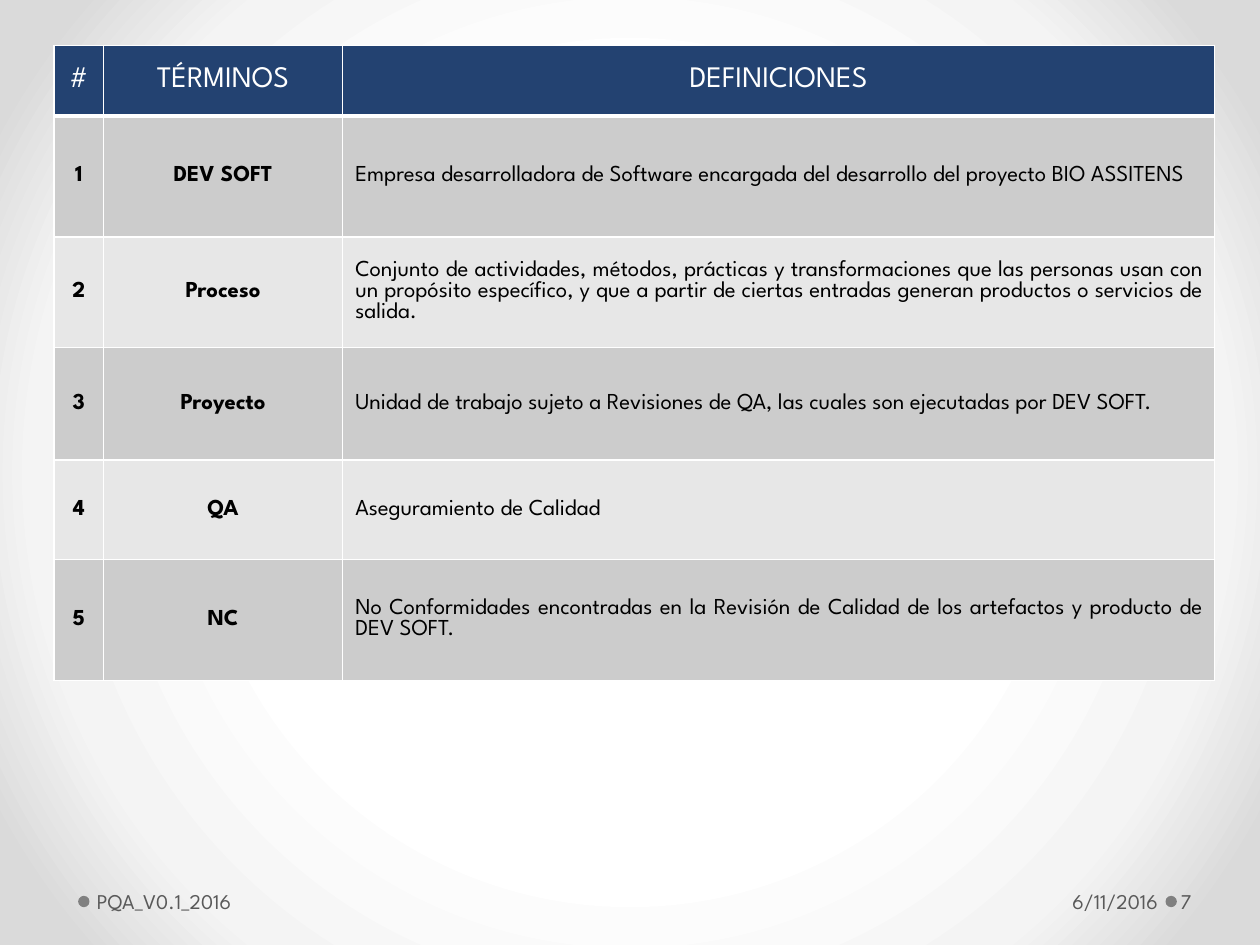
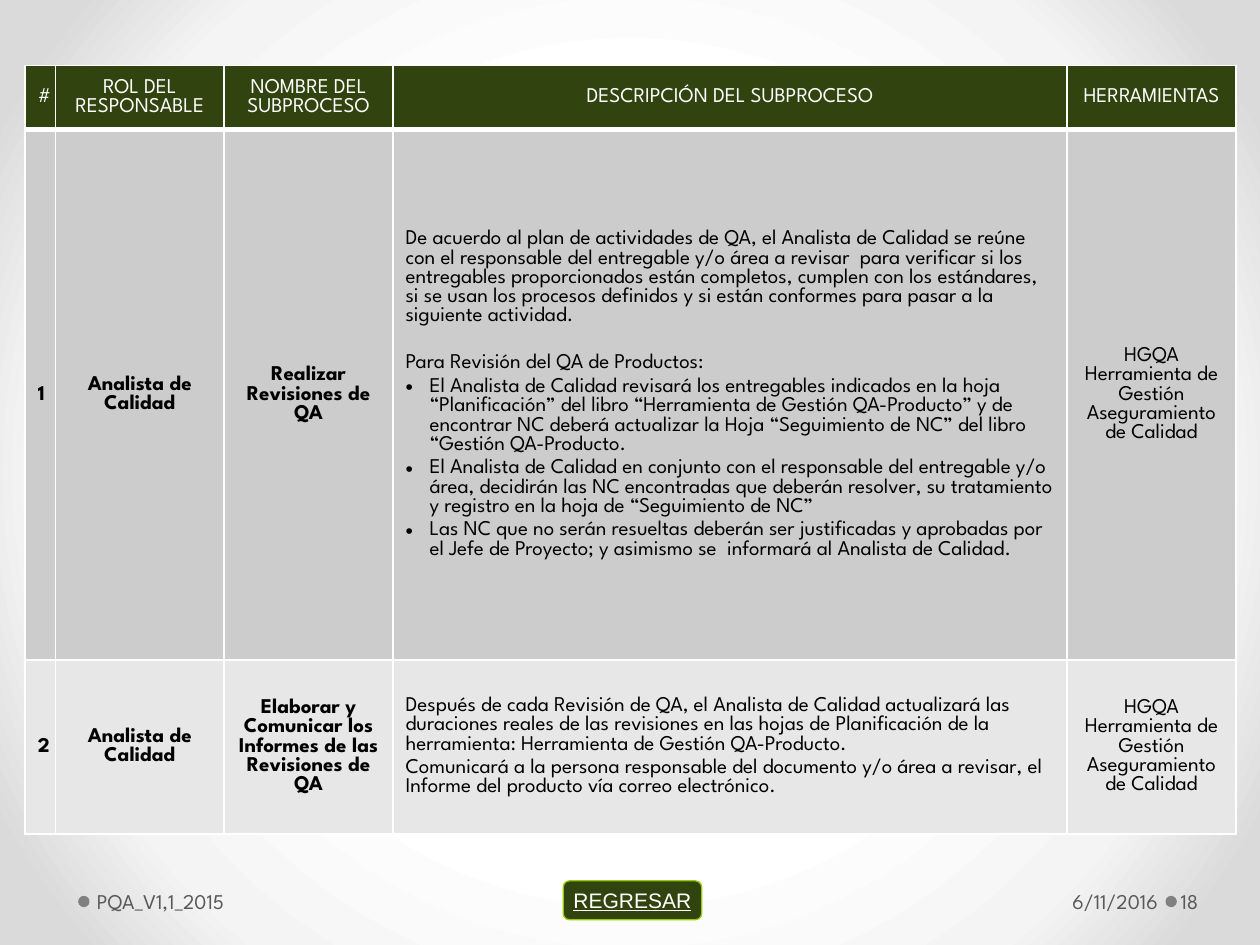
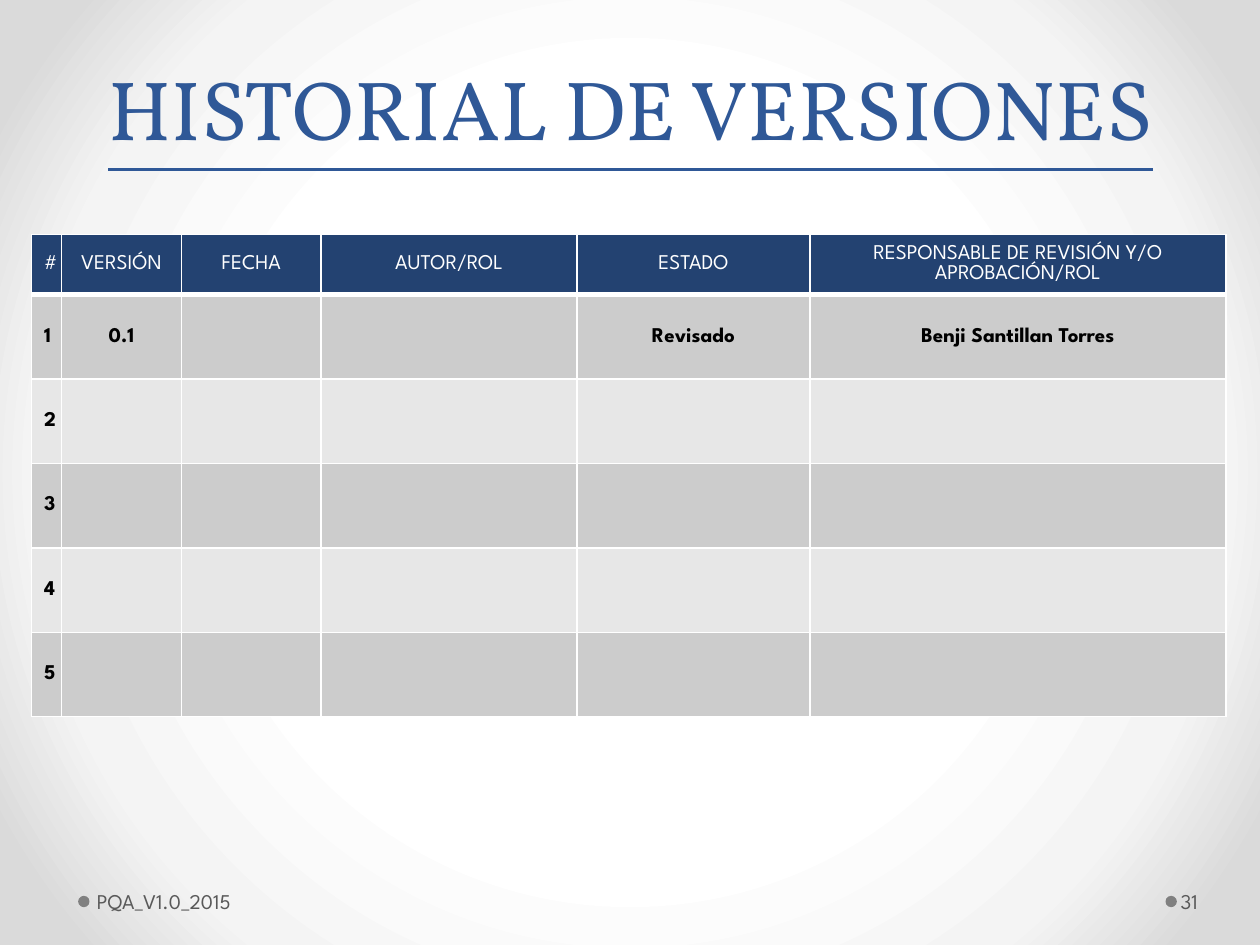
from dataclasses import dataclass

from pptx import Presentation
from pptx.dml.color import RGBColor
from pptx.enum.shapes import MSO_SHAPE as Shape
from pptx.enum.text import MSO_ANCHOR as Anchor, PP_ALIGN as Align
from pptx.oxml import parse_xml
from pptx.oxml.ns import nsdecls, qn
from pptx.util import Inches, Pt

UNIT = Inches(0.1)  # the slide is a grid of 100 columns by 75 rows
COLUMNS, ROWS = 100, 75
BODY_FONT, TITLE_FONT, BUTTON_FONT = "League Spartan", "Vollkorn", "Arial"
NAVY, OLIVE, LIME, TITLE_BLUE = "234271", "314410", "99CC00", "2F5897"
WHITE, BLACK, DOT_GRAY, FOOTER_GRAY = "FFFFFF", "000000", "808080", "595959"
BANDS = ("CCCCCC", "E7E7E7")
BACKDROP = ((50, "FFFFFF"), (76, "F4F4F4"), (92, "DADADA"))
FOOTER_TOP, FOOTER_HEIGHT = 69.5, 4
TITLE_ONLY, BLANK = 5, 6


@dataclass
class Column:
    """Heading, width and body style of a table column."""
    heading: str
    width: float
    bold: bool = True
    align: Align = Align.CENTER


@dataclass
class Item:
    """A cell paragraph that has a bullet or a wider gap above it."""
    text: str
    bullet: bool = False
    gap: float = 0


def color(hex_code):
    """Turn a hex string into a colour."""
    return RGBColor.from_string(hex_code)


def grid(*lengths):
    """Turn grid columns or rows into slide lengths."""
    return [round(length * UNIT) for length in lengths]


def style(para, size, ink, font=BODY_FONT, bold=False, underline=False, align=Align.LEFT):
    """Format a paragraph and its runs."""
    para.alignment = align
    for span in para.runs:
        span.font.name, span.font.size = font, Pt(size)
        span.font.bold, span.font.underline = bold, underline
        span.font.color.rgb = color(ink)


def set_backdrop(deck):
    """Give the slide master its round gradient."""
    master = deck.slide_master
    master.background.fill.solid()
    solid = master.element.find(".//" + qn("p:bgPr")).find(qn("a:solidFill"))
    stops = "".join(f'<a:gs pos="{share * 1000}"><a:srgbClr val="{ink}"/></a:gs>'
                    for share, ink in BACKDROP)
    solid.getparent().replace(solid, parse_xml(
        f'<a:gradFill {nsdecls("a")} rotWithShape="1"><a:gsLst>{stops}</a:gsLst>'
        '<a:path path="circle"><a:fillToRect l="50000" t="50000" r="50000" b="50000"/>'
        '</a:path></a:gradFill>'))


def add_figure(page, kind, at, fill, line=None):
    """Add a flat preset shape."""
    figure = page.shapes.add_shape(kind, *grid(*at))
    figure.shadow.inherit = False
    figure.fill.solid()
    figure.fill.fore_color.rgb = color(fill)
    if line:
        figure.line.color.rgb, figure.line.width = color(line), Pt(0.75)
    else:
        figure.line.fill.background()
    return figure


def add_footer_text(page, text, left, width, insets, align=Align.LEFT):
    """Add one text of the footer band."""
    box = page.shapes.add_textbox(*grid(left, FOOTER_TOP, width, FOOTER_HEIGHT))
    frame = box.text_frame
    frame.word_wrap, frame.vertical_anchor = True, Anchor.MIDDLE
    frame.margin_left, frame.margin_right = grid(*insets)
    frame.text = text
    style(frame.paragraphs[0], 12, FOOTER_GRAY, align=align)


def add_footer(page, version, number, date=None):
    """Add the dots, document version, date and page number."""
    for left in (6.2, 92.5):
        add_figure(page, Shape.OVAL, (left, 71.1, 0.9, 0.9), DOT_GRAY)
    add_footer_text(page, version, 7.2, 39.6, (0.5, 1))
    add_footer_text(page, number, 93.4, 6.1, (0.3, 0.5))
    if date:
        add_footer_text(page, date, 69.6, 22.8, (1, 0.5), Align.RIGHT)


def add_bullet(para):
    """Give a paragraph a hanging bullet."""
    props = para._p.get_or_add_pPr()
    indent = Inches(0.19)
    props.set("marL", str(indent))
    props.set("indent", str(-indent))
    for tag, attribute, value in (("buFont", "typeface", "Arial"), ("buChar", "char", "•")):
        props.append(parse_xml(f'<a:{tag} {nsdecls("a")} {attribute}="{value}"/>'))


def paint_cell(cell, fill, bottom=1):
    """Fill a cell and draw its white borders."""
    cell.fill.solid()
    cell.fill.fore_color.rgb = color(fill)
    cell.vertical_anchor = Anchor.MIDDLE
    props = cell._tc.get_or_add_tcPr()
    for place, (side, width) in enumerate(zip("LRTB", (1, 1, 1, bottom))):
        props.insert(place, parse_xml(
            f'<a:ln{side} {nsdecls("a")} w="{Pt(width)}"><a:solidFill>'
            f'<a:srgbClr val="{WHITE}"/></a:solidFill></a:ln{side}>'))


def fill_cell(cell, content, column, size):
    """Write one string or a list of items in a body cell."""
    items = content if isinstance(content, list) else [content]
    items = [item if isinstance(item, Item) else Item(item) for item in items]
    frame = cell.text_frame
    frame.text = "\n".join(item.text for item in items)
    for para, item in zip(frame.paragraphs, items):
        style(para, size, BLACK, bold=column.bold, align=column.align)
        para.space_before = Pt(item.gap or 0.2 * size)
        if item.bullet:
            add_bullet(para)


def add_grid_table(page, left, top, columns, heights, rows, head_fill, head_size=12, size=12):
    """Add a table with a dark heading row and banded body rows."""
    width = sum(column.width for column in columns)
    table = page.shapes.add_table(len(heights), len(columns),
                                  *grid(left, top, width, sum(heights))).table
    for row, height in zip(table.rows, grid(*heights)):
        row.height = height
    for x, column in enumerate(columns):
        table.columns[x].width = grid(column.width)[0]
        head = table.cell(0, x)
        head.text = column.heading
        style(head.text_frame.paragraphs[0], head_size, WHITE, align=Align.CENTER)
        paint_cell(head, head_fill, bottom=3)
        for y, row in enumerate(rows, 1):
            cell = table.cell(y, x)
            if row[x]:
                fill_cell(cell, row[x], column, size)
            paint_cell(cell, BANDS[(y - 1) % 2])


def add_button(page, text):
    """Add the button in the middle of the footer band."""
    button = add_figure(page, Shape.FLOWCHART_ALTERNATE_PROCESS,
                        (44.7, 69.9, 11, 3.1), OLIVE, LIME)
    frame = button.text_frame
    frame.word_wrap, frame.vertical_anchor = False, Anchor.MIDDLE
    frame.text = text
    style(frame.paragraphs[0], 12, WHITE, BUTTON_FONT, underline=True, align=Align.CENTER)


def add_title(page, text):
    """Place and format the slide title."""
    title = page.shapes.title
    title.left, title.top, title.width, title.height = grid(2.8, 1.9, 94.5, 11.1)
    title.text_frame.text = text
    title.text_frame.vertical_anchor = Anchor.BOTTOM
    style(title.text_frame.paragraphs[0], 48, TITLE_BLUE, TITLE_FONT,
          underline=True, align=Align.CENTER)


def new_page(deck, layout):
    """Add a slide with the given layout."""
    return deck.slides.add_slide(deck.slide_layouts[layout])


def build_glossary(deck):
    """Build the slide of terms and definitions."""
    page = new_page(deck, BLANK)
    columns = [Column("#", 3.9), Column("TÉRMINOS", 19),
               Column("DEFINICIONES", 69.2, False, Align.JUSTIFY)]
    rows = [
        ("1", "DEV SOFT", "Empresa desarrolladora de Software encargada del desarrollo del "
         "proyecto BIO ASSITENS"),
        ("2", "Proceso", "Conjunto de actividades, métodos, prácticas y transformaciones que "
         "las personas usan con un propósito específico, y que a partir de ciertas entradas "
         "generan productos o servicios de salida."),
        ("3", "Proyecto", "Unidad de trabajo sujeto a Revisiones de QA, las cuales son "
         "ejecutadas por DEV SOFT."),
        ("4", "QA", "Aseguramiento de Calidad"),
        ("5", "NC", "No Conformidades encontradas en la Revisión de Calidad de los artefactos "
         "y producto de DEV SOFT."),
    ]
    add_grid_table(page, 4.3, 3.6, columns, (5.6, 9.6, 8.8, 8.9, 7.9, 9.6), rows,
                   NAVY, head_size=17, size=13)
    add_footer(page, "PQA_V0.1_2016", "7", "6/11/2016")


def build_subprocesses(deck):
    """Build the slide of subprocesses and their owners."""
    page = new_page(deck, BLANK)
    columns = [Column("#", 2.4), Column("ROL DEL RESPONSABLE", 13.4),
               Column("NOMBRE DEL SUBPROCESO", 13.4),
               Column("DESCRIPCIÓN DEL SUBPROCESO", 53.5, False, Align.LEFT),
               Column("HERRAMIENTAS", 13.4, False)]
    role = "Analista de Calidad"
    tool = "HGQA Herramienta de Gestión Aseguramiento de Calidad"
    review = [
        "De acuerdo al plan de actividades de QA, el Analista de Calidad se reúne con el "
        "responsable del entregable y/o área a revisar  para verificar si los entregables "
        "proporcionados están completos, cumplen con los estándares, si se usan los procesos "
        "definidos y si están conformes para pasar a la siguiente actividad.",
        Item("Para Revisión del QA de Productos:", gap=15.8),
        Item("El Analista de Calidad revisará los entregables indicados en la hoja "
             "“Planificación” del libro “Herramienta de Gestión QA-Producto” y de encontrar NC "
             "deberá actualizar la Hoja “Seguimiento de NC” del libro “Gestión QA-Producto.",
             bullet=True),
        Item("El Analista de Calidad en conjunto con el responsable del entregable y/o área, "
             "decidirán las NC encontradas que deberán resolver, su tratamiento y registro en "
             "la hoja de “Seguimiento de NC”", bullet=True),
        Item("Las NC que no serán resueltas deberán ser justificadas y aprobadas por el Jefe "
             "de Proyecto; y asimismo se  informará al Analista de Calidad.", bullet=True),
    ]
    report = [
        "Después de cada Revisión de QA, el Analista de Calidad actualizará las duraciones "
        "reales de las revisiones en las hojas de Planificación de la herramienta: "
        "Herramienta de Gestión QA-Producto.",
        "Comunicará a la persona responsable del documento y/o área a revisar, el Informe del "
        "producto vía correo electrónico.",
    ]
    rows = [
        ("1", role, "Realizar Revisiones de QA", review, tool),
        ("2", role, "Elaborar y Comunicar los Informes de las Revisiones de QA", report, tool),
    ]
    add_grid_table(page, 2, 5.2, columns, (5.1, 42.1, 13.8), rows, OLIVE)
    add_footer(page, "PQA_V1,1_2015", "18", "6/11/2016")
    add_button(page, "REGRESAR")


def build_history(deck):
    """Build the slide of document versions."""
    page = new_page(deck, TITLE_ONLY)
    add_title(page, "HISTORIAL DE VERSIONES")
    columns = [Column("#", 2.3), Column("VERSIÓN", 9.5), Column("FECHA", 11.1),
               Column("AUTOR/ROL", 20.3), Column("ESTADO", 18.5),
               Column("RESPONSABLE DE REVISIÓN Y/O APROBACIÓN/ROL", 33)]
    rows = [("1", "0.1", "", "", "Revisado", "Benji Santillan Torres")]
    rows += [(str(number), "", "", "", "", "") for number in range(2, 6)]
    add_grid_table(page, 2.5, 18.6, columns, [4.8] + [6.7] * len(rows), rows, NAVY)
    add_footer(page, "PQA_V1.0_2015", "31")


def main():
    """Build and save the deck."""
    deck = Presentation()
    deck.slide_width, deck.slide_height = grid(COLUMNS, ROWS)
    set_backdrop(deck)
    build_glossary(deck)
    build_subprocesses(deck)
    build_history(deck)
    deck.save("out.pptx")


main()
